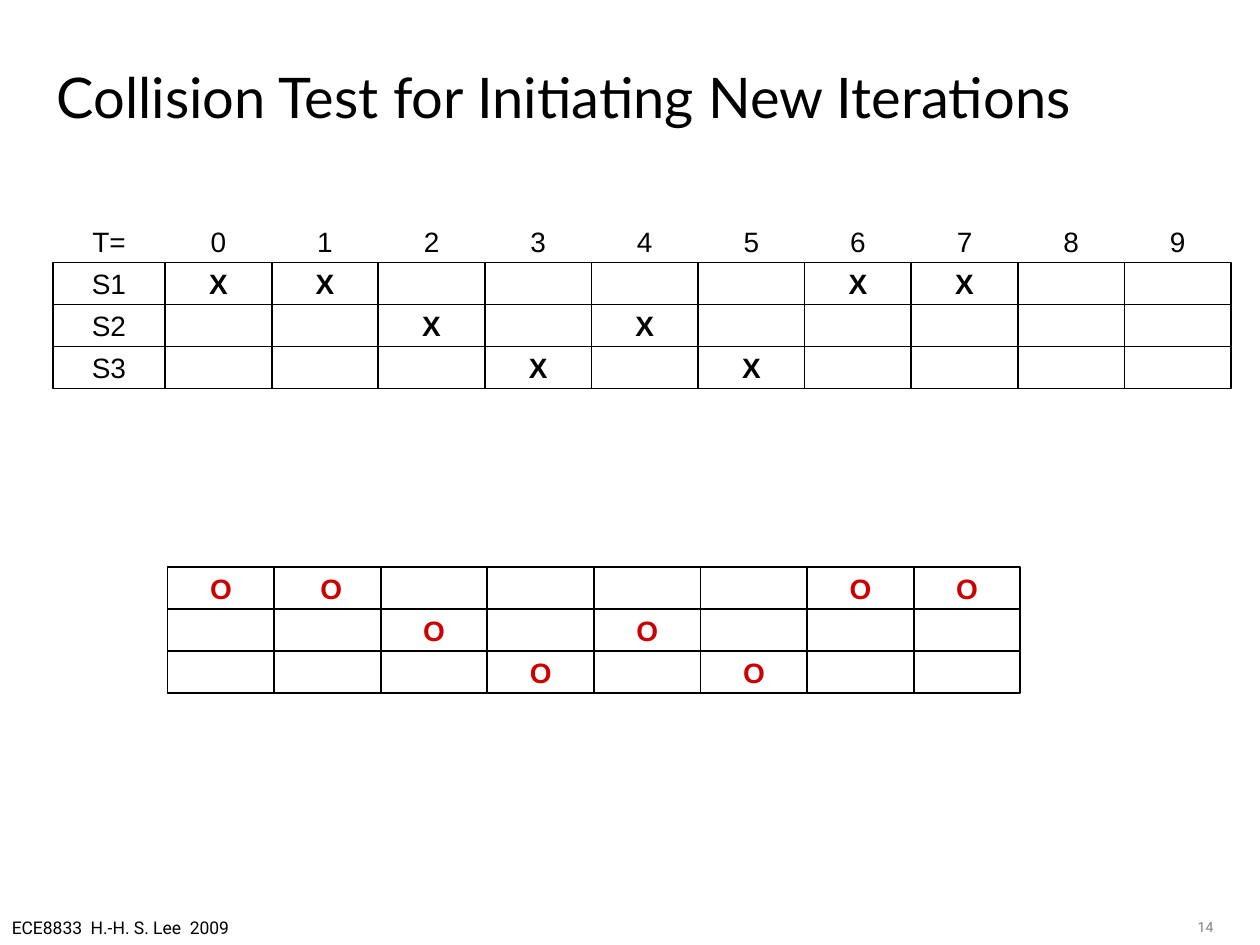
from pptx import Presentation
from pptx import util as u
from pptx.dml.color import RGBColor
from pptx.enum import shapes, text

COLORS = {"ink": "000000", "mark": "CC0000", "number": "808080"}
STAGES = ["S1", "S2", "S3"]
BUSY_TIMES = [(0, 1, 6, 7), (2, 4), (3, 5)]
TIME_COUNT = 10
ITERATION_LENGTH = 8
STEP = u.Inches(8.46) / TIME_COUNT
ROW_HEIGHT = u.Inches(1) / 3
LABEL_WIDTH = u.Inches(0.89)


def color(name):
    return RGBColor.from_string(COLORS[name])


def write(box, content, size, font, tint="ink", bold=False,
          align=text.PP_ALIGN.CENTER, anchor=text.MSO_ANCHOR.MIDDLE, wrap=False):
    frame = box.text_frame
    frame.text = content
    frame.word_wrap = wrap
    frame.auto_size = text.MSO_AUTO_SIZE.NONE
    frame.vertical_anchor = anchor
    para = frame.paragraphs[0]
    para.alignment = align
    span = para.runs[0]
    span.font.size = u.Pt(size)
    span.font.name = font
    span.font.bold = bold
    span.font.color.rgb = color(tint)


def add_text(parent, left, top, width, height, content, size, font, **style):
    box = parent.shapes.add_textbox(int(left), int(top), int(width), int(height))
    write(box, content, size, font, **style)


def add_cell(group, left, top, width, content="", **style):
    cell = group.shapes.add_shape(shapes.MSO_SHAPE.RECTANGLE, int(left), int(top),
                                  int(width), int(ROW_HEIGHT))
    cell.shadow.inherit = False
    cell.fill.background()
    cell.line.color.rgb = color("ink")
    cell.line.width = u.Pt(1)
    if content:
        write(cell, content, 16, "Arial", **style)


def add_reservations(group, left, top, columns, mark, tint, shifted=()):
    for row, busy in enumerate(BUSY_TIMES):
        for time in range(columns):
            content = mark if time in busy else ""
            if (row, time) in shifted:
                content = " " + mark
            add_cell(group, left + time * STEP, top + row * ROW_HEIGHT, STEP,
                     content, tint=tint, bold=True)


def add_timeline(page, left, top):
    group = page.shapes.add_group_shape()
    times_left = left + LABEL_WIDTH
    grid_top = top + ROW_HEIGHT
    add_text(group, left, top, LABEL_WIDTH, ROW_HEIGHT, "T=", 16, "Arial")
    for time in range(TIME_COUNT):
        add_text(group, times_left + time * STEP, top, STEP, ROW_HEIGHT,
                 str(time), 16, "Arial")
    for row, stage in enumerate(STAGES):
        add_cell(group, left, grid_top + row * ROW_HEIGHT, LABEL_WIDTH, stage)
    add_reservations(group, times_left, grid_top, TIME_COUNT, "X", "ink")


def add_new_iteration(page, left, top):
    group = page.shapes.add_group_shape()
    add_reservations(group, left, top, ITERATION_LENGTH, "O", "mark", shifted=[(0, 1)])


def add_title(page, content):
    title = page.shapes.title
    title.left, title.top = u.Inches(0.35), u.Inches(0.35)
    title.width, title.height = u.Inches(9), u.Inches(0.83)
    write(title, content, 32, "Lato", align=text.PP_ALIGN.LEFT, wrap=True)


def main():
    deck = Presentation()
    deck.slide_width, deck.slide_height = u.Inches(10), u.Inches(7.5)
    page = deck.slides.add_slide(deck.slide_layouts[5])
    add_title(page, "Collision Test for Initiating New Iterations")
    add_new_iteration(page, u.Inches(1.33), u.Inches(4.5))
    add_timeline(page, u.Inches(0.42), u.Inches(1.75))
    add_text(page, u.Inches(-0.02), u.Inches(7.23), u.Inches(1.95), u.Inches(0.27),
             "ECE8833  H.-H. S. Lee  2009", 10, "Roboto", anchor=text.MSO_ANCHOR.TOP)
    add_text(page, u.Inches(9.07), u.Inches(7.24), u.Inches(0.66), u.Inches(0.17),
             "14", 8, "Roboto", tint="number", align=text.PP_ALIGN.RIGHT,
             anchor=text.MSO_ANCHOR.TOP, wrap=True)
    deck.save("out.pptx")


if __name__ == "__main__":
    main()
